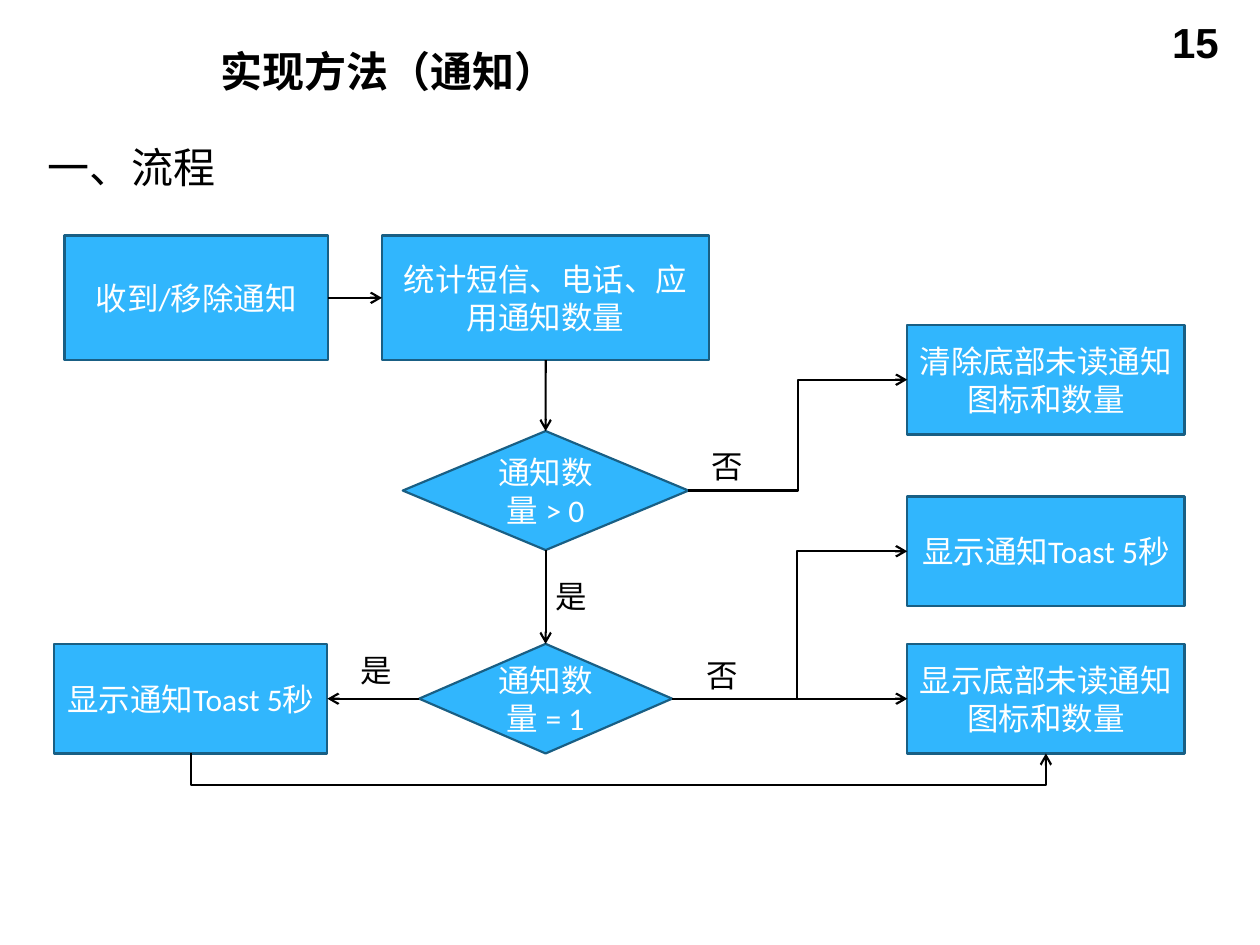
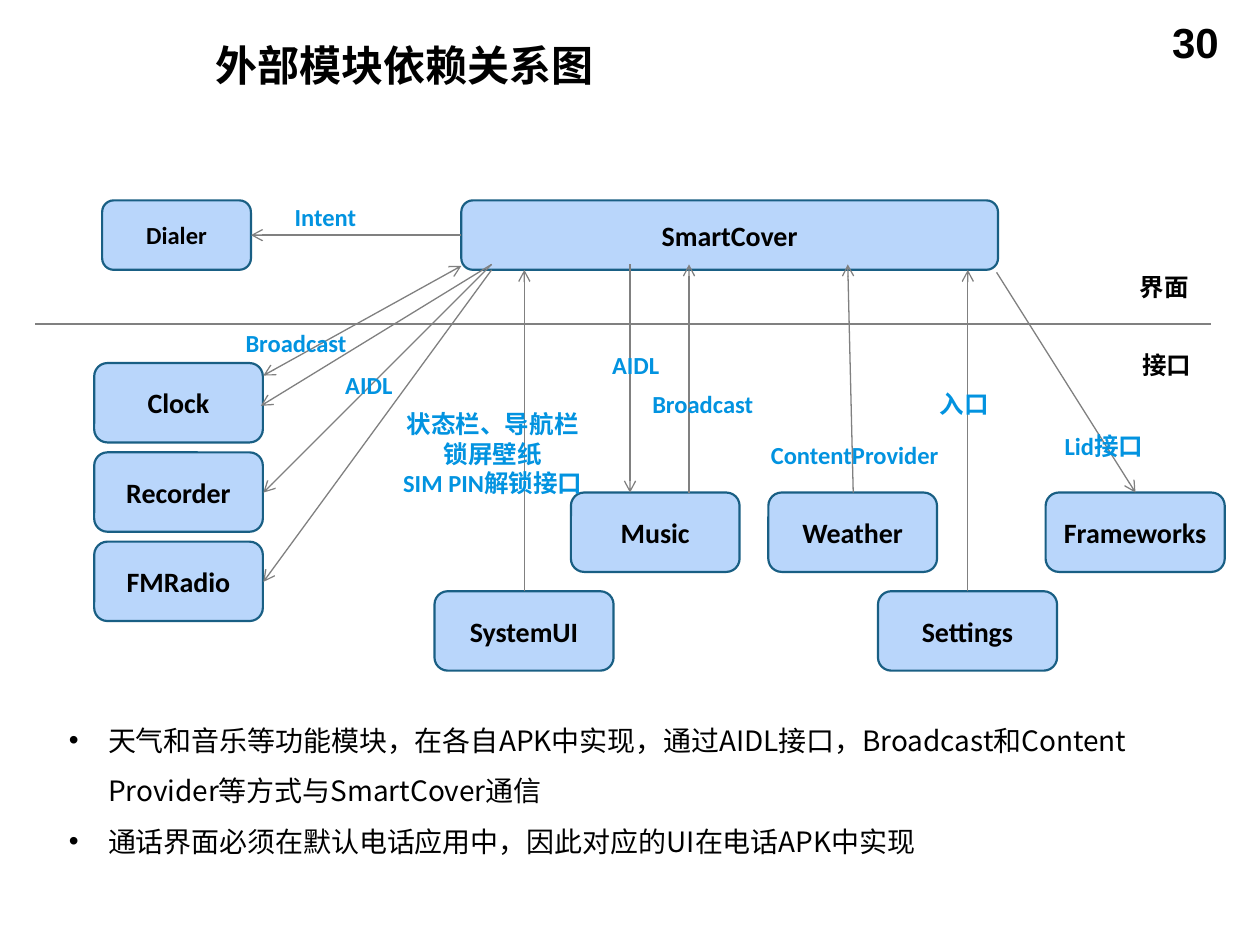
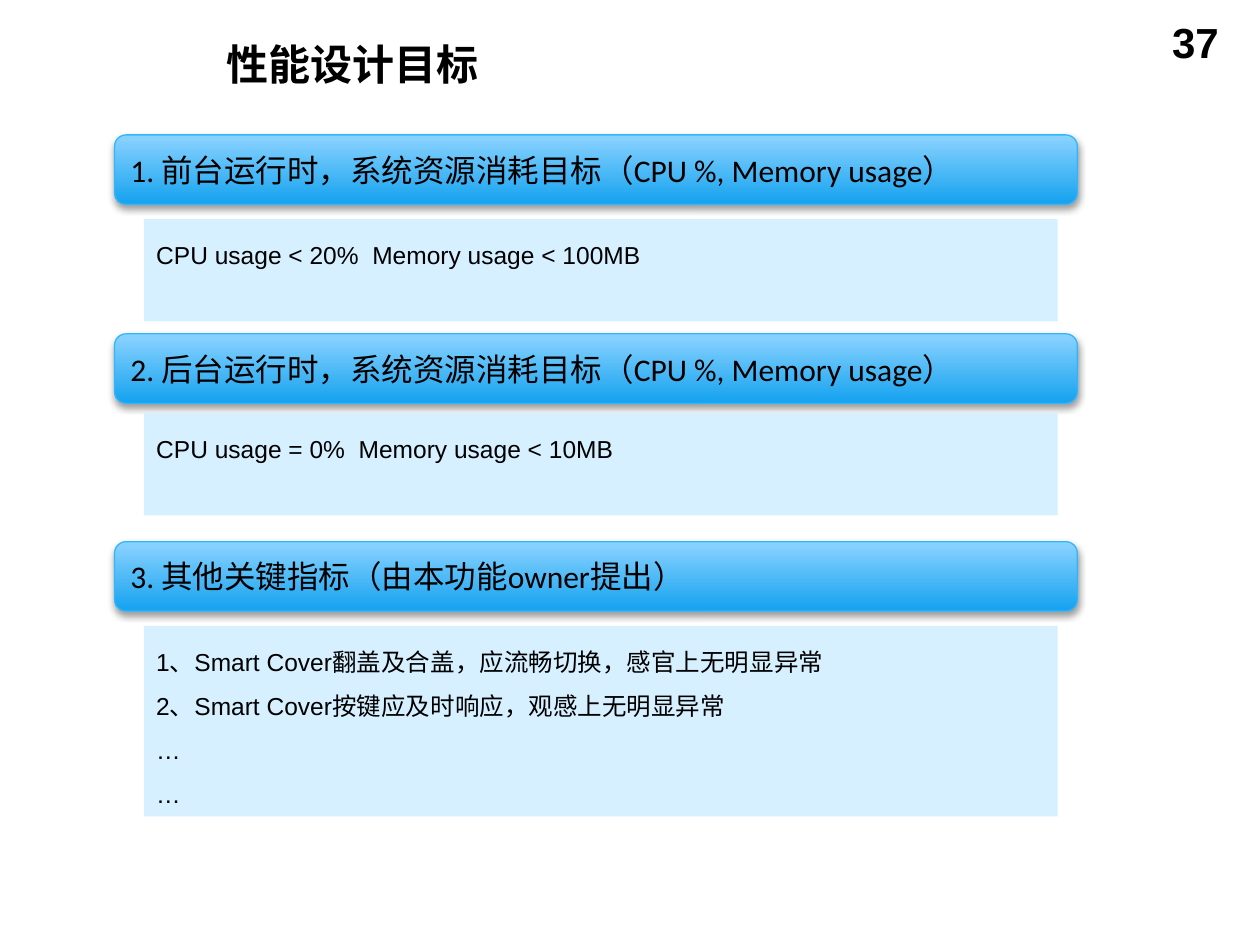
from dataclasses import dataclass

from pptx import Presentation
from pptx.dml.color import RGBColor
from pptx.enum.shapes import MSO_CONNECTOR, MSO_SHAPE
from pptx.enum.text import MSO_ANCHOR, PP_ALIGN
from pptx.oxml import parse_xml
from pptx.oxml.ns import nsdecls, qn
from pptx.oxml.xmlchemy import OxmlElement
from pptx.util import Cm, Pt

STRAIGHT, ELBOW = MSO_CONNECTOR.STRAIGHT, MSO_CONNECTOR.ELBOW
RECT, ROUND, DIAMOND = MSO_SHAPE.RECTANGLE, MSO_SHAPE.ROUNDED_RECTANGLE, MSO_SHAPE.DIAMOND
LEFT, CENTER, RIGHT = PP_ALIGN.LEFT, PP_ALIGN.CENTER, PP_ALIGN.RIGHT
TOP, MIDDLE = MSO_ANCHOR.TOP, MSO_ANCHOR.MIDDLE
NORTH, WEST, SOUTH, EAST = range(4)  # connection sites


@dataclass(frozen=True)
class Theme:
    black: str = "000000"
    white: str = "FFFFFF"
    step: str = "31B6FD"
    edge: str = "195F84"
    node: str = "B9D6FB"
    gray: str = "808080"
    note: str = "0293E0"
    light: str = "8CD3FF"
    deep: str = "14A2EF"
    pale: str = "D6F0FF"
    head: int = 24
    large: int = 18
    body: int = 16
    small: int = 14
    thick: float = 1.25
    thin: float = 0.75
    main: str = "Calibri"
    plain: str = "Arial"
    asian: str = "Noto Sans CJK SC"


T = Theme()


def rgb(code):
    return RGBColor.from_string(code)


def write(shape, text, size, color=T.black, bold=False, font=T.main,
          align=LEFT, anchor=TOP, wrap=True, lead=None):
    frame = shape.text_frame
    frame.text = text
    frame.word_wrap = wrap
    frame.vertical_anchor = anchor
    for para in frame.paragraphs:
        para.alignment = align
        if lead:
            para.line_spacing = lead
        for run in para.runs:
            run.font.size = Pt(size)
            run.font.bold = bold
            run.font.name = font
            run.font.color.rgb = rgb(color)
            east = OxmlElement("a:ea")
            east.set("typeface", T.asian)
            run.font._element.find(qn("a:latin")).addnext(east)


def label(slide, text, x, y, w, h, size, **style):
    box = slide.shapes.add_textbox(Cm(x), Cm(y), Cm(w), Cm(h))
    write(box, text, size, **style)
    return box


def block(slide, kind, x, y, w, h, fill=None, edge=None, width=T.thick):
    shape = slide.shapes.add_shape(kind, Cm(x), Cm(y), Cm(w), Cm(h))
    shape.shadow.inherit = False
    if fill:
        shape.fill.solid()
        shape.fill.fore_color.rgb = rgb(fill)
    if edge:
        shape.line.color.rgb = rgb(edge)
        shape.line.width = Pt(width)
    else:
        shape.line.fill.background()
    return shape


def stroke(line, color, width, *ends):
    """Colour a line and put arrowheads on the given ends."""
    line.line.color.rgb = rgb(color)
    line.line.width = Pt(width)
    props = line.element.spPr
    for end in ends:
        tip = OxmlElement(f"a:{end}")
        tip.set("type", "arrow")
        props.find(qn("a:ln")).append(tip)
    if props.find(qn("a:effectLst")) is None:
        props.append(OxmlElement("a:effectLst"))


def ray(slide, start, end, *ends):
    points = [Cm(v) for v in (*start, *end)]
    line = slide.shapes.add_connector(STRAIGHT, *points)
    stroke(line, T.gray, T.thin, *ends)


def link(slide, first, out, last, into, kind=STRAIGHT, bend=None):
    """Join two shapes at their connection sites."""
    line = slide.shapes.add_connector(kind, 0, 0, 0, 0)
    line.begin_connect(first, out)
    line.end_connect(last, into)
    if bend:
        guide = OxmlElement("a:gd")
        guide.set("name", "adj1")
        guide.set("fmla", f"val {round(bend * 100000)}")
        line.element.spPr.find(qn("a:prstGeom")).get_or_add_avLst().append(guide)
    stroke(line, T.black, T.thick, "tailEnd")


def loop(slide, first, last, drop):
    """Run an arrow below two shapes, from base to base."""
    x1, x2 = (s.left + s.width // 2 for s in (first, last))
    y1, y2 = (s.top + s.height for s in (first, last))
    low = y1 + Cm(drop)
    pen = slide.shapes.build_freeform(x1, y1)
    pen.add_line_segments([(x1, low), (x2, low), (x2, y2)], close=False)
    line = pen.convert_to_shape()
    line.fill.background()
    stroke(line, T.black, T.thick, "tailEnd")


def page(deck, number, title, x, y):
    slide = deck.slides.add_slide(deck.slide_layouts[6])
    label(slide, number, 18.9, 0.2, 5.92, 1.32, T.head, bold=True, font=T.plain, align=RIGHT)
    label(slide, title, x, y, 19.5, 1.27, T.head, bold=True, anchor=MIDDLE)
    return slide


def step(slide, text, x, y, w, h, kind=RECT):
    shape = block(slide, kind, x, y, w, h, T.step, T.edge)
    write(shape, text, T.large, T.white, align=CENTER, anchor=MIDDLE)
    return shape


def node(slide, text, x, y, w, h=1.6, size=T.body):
    shape = block(slide, ROUND, x, y, w, h, T.node, T.edge)
    write(shape, text, size, bold=True, align=CENTER, anchor=MIDDLE)


def banner(slide, text, y):
    shape = block(slide, ROUND, 2.31, y, 19.41, 1.4, edge=T.step, width=T.thin)
    shape.fill.gradient()
    shape.fill.gradient_angle = 270
    for stop, color in zip(shape.fill.gradient_stops, (T.light, T.deep)):
        stop.color.rgb = rgb(color)
    shade = parse_xml(
        f'<a:outerShdw {nsdecls("a")} blurRad="{Pt(4)}" dist="{Pt(2)}" dir="5400000" '
        f'rotWithShape="0"><a:srgbClr val="{T.black}"><a:alpha val="38000"/>'
        '</a:srgbClr></a:outerShdw>')
    shape.element.spPr.find(qn("a:effectLst")).append(shade)
    write(shape, text, T.large, anchor=MIDDLE)


def detail(slide, text, y, h):
    shape = block(slide, RECT, 2.9, y, 18.42, h, T.pale)
    write(shape, text, T.small, font=T.plain, lead=1.5)


def bullets(slide, text, x, y, w, h):
    box = slide.shapes.add_textbox(Cm(x), Cm(y), Cm(w), Cm(h))
    box.text_frame.text = text
    write(box, text, T.body, font=T.asian, lead=1.5)
    for para in box.text_frame.paragraphs:
        props = para._p.get_or_add_pPr()
        props.set("marL", str(Cm(2.06)))
        props.set("indent", str(-Cm(0.79)))
        font = OxmlElement("a:buFont")
        font.set("typeface", T.plain)
        mark = OxmlElement("a:buChar")
        mark.set("char", "•")
        props.extend([font, mark])


def flow(deck):
    slide = page(deck, "15", "实现方法（通知）", 4.19, 0.8)
    label(slide, "一、流程", 0.71, 2.72, 5.36, 1.27, T.head)

    start = step(slide, "收到/移除通知", 1.3, 4.75, 5.31, 2.51)
    count = step(slide, "统计短信、电话、应用通知数量", 7.7, 4.75, 6.6, 2.51)
    some = step(slide, "通知数量 > 0", 8.12, 8.69, 5.76, 2.4, DIAMOND)
    single = step(slide, "通知数量 = 1", 8.45, 12.98, 5.1, 2.21, DIAMOND)
    toast = step(slide, "显示通知Toast 5秒", 1.09, 12.98, 5.51, 2.21)
    clear, pop, show = [
        step(slide, text, 18.29, y, 5.59, 2.21)
        for text, y in (("清除底部未读通知图标和数量", 6.55),
                        ("显示通知Toast 5秒", 10.01),
                        ("显示底部未读通知图标和数量", 12.98))]

    link(slide, start, EAST, count, WEST)
    link(slide, count, SOUTH, some, NORTH)
    link(slide, some, SOUTH, single, NORTH)
    link(slide, single, WEST, toast, EAST)
    link(slide, single, EAST, show, WEST)
    link(slide, single, EAST, pop, WEST, ELBOW, 0.53)
    link(slide, some, EAST, clear, WEST, ELBOW, 0.5)
    loop(slide, toast, show, 0.64)

    for text, x, y in (("是", 10.95, 11.51), ("否", 14.1, 8.89),
                       ("否", 14, 13.11), ("是", 7.01, 13)):
        label(slide, text, x, y, 1.14, 1.02, T.large, wrap=False)


def modules(deck):
    slide = page(deck, "30", "外部模块依赖关系图", 4.09, 0.66)
    ray(slide, (0.71, 6.53), (24.41, 6.53))

    node(slide, "Dialer", 2.06, 4.04, 3, 1.4, T.small)
    node(slide, "SmartCover", 9.3, 4.04, 10.82, 1.4)
    for i, name in enumerate(("Clock", "Recorder", "FMRadio")):
        node(slide, name, 1.9, 7.32 + 1.8 * i, 3.4)
    for name, x, y, w in (("Music", 11.51, 9.93, 3.4), ("Weather", 15.49, 9.93, 3.4),
                          ("Frameworks", 21.08, 9.93, 3.61),
                          ("SystemUI", 8.76, 11.92, 3.61), ("Settings", 17.7, 11.92, 3.61)):
        node(slide, name, x, y, w)

    for start, end in (((9.3, 4.74), (5.06, 4.74)),
                       ((9.91, 5.33), (5.26, 8.18)),
                       ((9.91, 5.33), (5.31, 9.93)),
                       ((9.91, 5.44), (5.31, 11.73)),
                       ((10.57, 11.92), (10.57, 5.44)),
                       ((12.7, 5.33), (12.7, 9.93)),
                       ((13.89, 9.93), (13.89, 5.33)),
                       ((17.2, 9.93), (17.09, 5.33)),
                       ((19.51, 11.92), (19.51, 5.44)),
                       ((20.09, 5.49), (22.89, 9.93))):
        ray(slide, start, end, "tailEnd")
    ray(slide, (9.3, 5.36), (5.31, 7.57), "headEnd", "tailEnd")

    for text, x, y, w in (("Intent", 5.69, 3.94, 1.75), ("Broadcast", 4.7, 6.48, 2.57),
                          ("AIDL", 6.71, 7.34, 1.47), ("AIDL", 12.09, 6.93, 1.47),
                          ("Broadcast", 12.9, 7.72, 2.57),
                          ("ContentProvider", 15.29, 8.74, 3.91), ("入口", 18.69, 7.72, 1.5)):
        label(slide, text, x, y, w, 0.86, T.small, color=T.note, bold=True, wrap=False)
    label(slide, "Lid接口", 21.21, 8.56, 2.11, 0.86, T.small, color=T.note, bold=True)
    label(slide, "状态栏、导航栏\n锁屏壁纸\nSIM PIN解锁接口", 7.37, 8.13, 5.13, 2.06,
          T.small, color=T.note, bold=True, align=CENTER)
    for text, x, y in (("界面", 22.73, 5.36), ("接口", 22.78, 6.93)):
        label(slide, text, x, y, 1.5, 0.86, T.small, bold=True, wrap=False)

    bullets(slide, "天气和音乐等功能模块，在各自APK中实现，通过AIDL接口，Broadcast和"
            "Content Provider等方式与SmartCover通信\n"
            "通话界面必须在默认电话应用中，因此对应的UI在电话APK中实现",
            -0.13, 14.12, 25.1, 3.33)


def goals(deck):
    slide = page(deck, "37", "性能设计目标", 4.32, 0.64)
    for text, y in (("1. 前台运行时，系统资源消耗目标（CPU %, Memory usage）", 2.72),
                    ("2. 后台运行时，系统资源消耗目标（CPU %, Memory usage）", 6.73),
                    ("3. 其他关键指标（由本功能owner提出）", 10.92)):
        banner(slide, text, y)
    for text, y, h in (("CPU usage < 20%  Memory usage < 100MB", 4.42, 2.06),
                       ("CPU usage = 0%  Memory usage < 10MB", 8.33, 2.06),
                       ("1、Smart Cover翻盖及合盖，应流畅切换，感官上无明显异常\n"
                        "2、Smart Cover按键应及时响应，观感上无明显异常\n…\n…", 12.62, 3.84)):
        detail(slide, text, y, h)


def main():
    deck = Presentation()
    deck.slide_width, deck.slide_height = Cm(25.4), Cm(19.05)
    flow(deck)
    modules(deck)
    goals(deck)
    deck.save("out.pptx")


if __name__ == "__main__":
    main()
